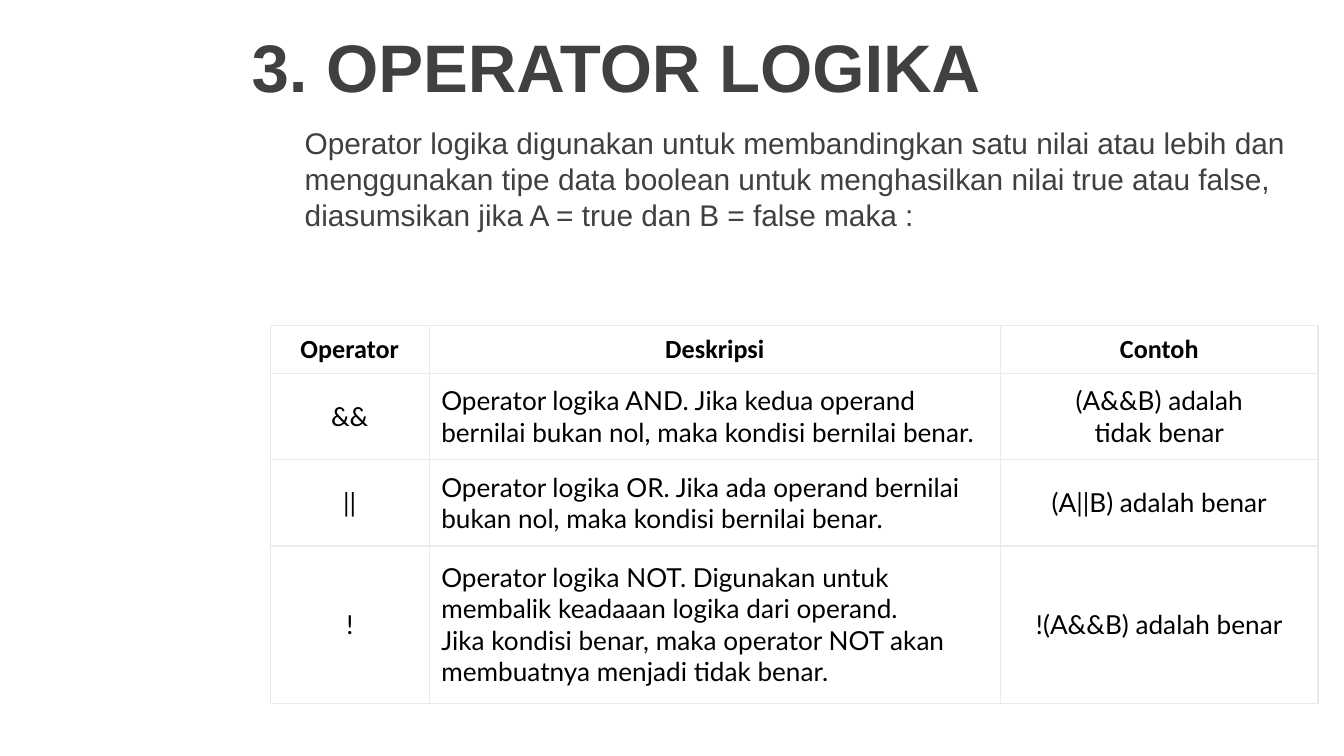
from pptx import Presentation
from pptx.dml.color import RGBColor
from pptx.enum.text import MSO_ANCHOR, MSO_AUTO_SIZE, PP_ALIGN
from pptx.oxml.ns import qn
from pptx.util import Cm, Pt
from lxml import etree

LEFT, MID, JUST = PP_ALIGN.LEFT, PP_ALIGN.CENTER, PP_ALIGN.JUSTIFY
GREY = RGBColor(0x40, 0x40, 0x40)
BLACK = RGBColor(0, 0, 0)
WHITE = RGBColor(0xFF, 0xFF, 0xFF)
RULE = RGBColor(0xEA, 0xEA, 0xEA)

# Content
TITLE = "3. OPERATOR LOGIKA"
INTRO = ("Operator logika digunakan untuk membandingkan satu nilai atau lebih "
         "dan menggunakan tipe data boolean untuk menghasilkan nilai true atau "
         "false, diasumsikan jika A = true dan B = false maka :")
ROWS = [
    ("Operator", "Deskripsi", "Contoh"),
    ("&&",
     "Operator logika AND. Jika kedua operand\n"
     "bernilai bukan nol, maka kondisi bernilai benar.",
     "(A&&B) adalah\ntidak benar"),
    ("||",
     "Operator logika OR. Jika ada operand bernilai\n"
     "bukan nol, maka kondisi bernilai benar.",
     "(A||B) adalah benar"),
    ("!",
     "Operator logika NOT. Digunakan untuk\n"
     "membalik keadaaan logika dari operand.\n"
     "Jika kondisi benar, maka operator NOT akan\n"
     "membuatnya menjadi tidak benar.",
     "!(A&&B) adalah benar"),
]
WIDTHS = (3, 10.8, 6)
HEIGHTS = (0.89, 1.63, 1.63, 2.97)


def write(frame, text, font, size, color, bold=False, align=LEFT):
    frame.text = text
    for par in frame.paragraphs:
        par.alignment = align
        for run in par.runs:
            run.font.name, run.font.size = font, Pt(size)
            run.font.bold = bold
            run.font.color.rgb = color


def place(shape, *box):
    shape.left, shape.top, shape.width, shape.height = map(Cm, box)
    frame = shape.text_frame
    frame.word_wrap = True
    frame.auto_size = MSO_AUTO_SIZE.NONE
    frame.vertical_anchor = MSO_ANCHOR.MIDDLE
    return frame


def frame_cell(cell):
    props = cell._tc.get_or_add_tcPr()
    for side in ("a:lnL", "a:lnR", "a:lnT", "a:lnB"):
        line = etree.SubElement(props, qn(side), w=str(Pt(0.75)))
        fill = etree.SubElement(line, qn("a:solidFill"))
        etree.SubElement(fill, qn("a:srgbClr"), val=str(RULE))


deck = Presentation()
deck.slide_width, deck.slide_height = Cm(25.4), Cm(14.28)
slide = deck.slides.add_slide(deck.slide_layouts[5])

# Title and intro
head = place(slide.shapes.title, 4.5, 0, 20.9, 2.46)
write(head, TITLE, "Arial", 36, GREY, bold=True)
intro = place(slide.shapes.add_textbox(0, 0, 0, 0), 5.51, 2.74, 19.2, 1.27)
write(intro, INTRO, "Arial", 16, GREY)

# Operator table
table = slide.shapes.add_table(
    len(ROWS), len(WIDTHS), Cm(5.11), Cm(6.15),
    Cm(sum(WIDTHS)), Cm(sum(HEIGHTS))).table
table.first_row = table.horz_banding = False
for col, width in zip(table.columns, WIDTHS):
    col.width = Cm(width)
for row, height in zip(table.rows, HEIGHTS):
    row.height = Cm(height)

for r, texts in enumerate(ROWS):
    for c, text in enumerate(texts):
        cell = table.cell(r, c)
        top = r == 0
        write(cell.text_frame, text, "Calibri" if top else "Lato", 14, BLACK,
              bold=top, align=JUST if c == 1 and not top else MID)
        cell.vertical_anchor = MSO_ANCHOR.MIDDLE
        cell.margin_left = cell.margin_right = Cm(0.23)
        cell.margin_top = cell.margin_bottom = Cm(0.15)
        frame_cell(cell)
        cell.fill.solid()
        cell.fill.fore_color.rgb = WHITE

deck.save("out.pptx")
